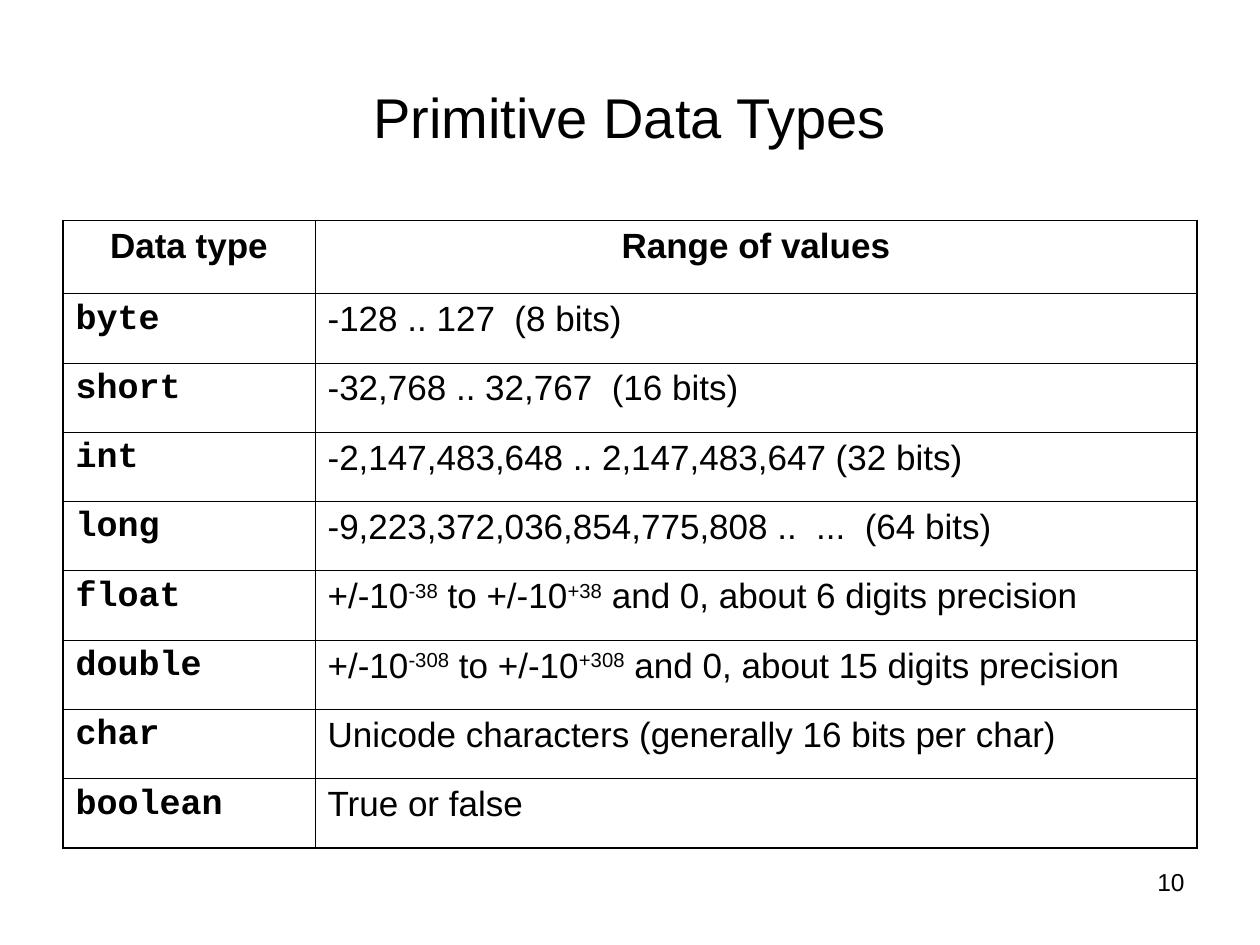
"""Build a slide that tabulates the primitive data types and their ranges."""
from dataclasses import dataclass

from lxml import etree
from pptx import Presentation
from pptx.dml.color import RGBColor
from pptx.enum.text import MSO_ANCHOR, PP_ALIGN
from pptx.oxml.ns import qn
from pptx.util import Inches, Pt

CENTER, RIGHT, JUSTIFY = PP_ALIGN.CENTER, PP_ALIGN.RIGHT, PP_ALIGN.JUSTIFY
MIDDLE = MSO_ANCHOR.MIDDLE


@dataclass(frozen=True)
class Theme:
    ink: str = "000000"
    body_font: str = "Arial"
    code_font: str = "Courier New"
    title_size: int = 32
    table_size: int = 20
    number_size: int = 14
    outer_line: float = 1.08
    inner_line: float = 0.45


theme = Theme()


def format_paragraph(para, size, align, font=theme.body_font, bold=False):
    para.alignment = align
    for span in para.runs:
        span.font.size = Pt(size)
        span.font.name = font
        span.font.bold = bold
        span.font.color.rgb = RGBColor.from_string(theme.ink)


def add_border(cell, side, width):
    line = etree.SubElement(cell._tc.get_or_add_tcPr(), qn(f"a:ln{side}"), w=str(Pt(width)))
    fill = etree.SubElement(line, qn("a:solidFill"))
    etree.SubElement(fill, qn("a:srgbClr"), val=theme.ink)


rows = [
    ("Data type", "Range of values"),
    ("byte", "-128 .. 127  (8 bits)"),
    ("short", "-32,768 .. 32,767  (16 bits)"),
    ("int", "-2,147,483,648 .. 2,147,483,647 (32 bits)"),
    ("long", "-9,223,372,036,854,775,808 ..  ...  (64 bits)"),
    ("float", "+/-10^-38^ to +/-10^+38^ and 0, about 6 digits precision"),
    ("double", "+/-10^-308^ to +/-10^+308^ and 0, about 15 digits precision"),
    ("char", "Unicode characters (generally 16 bits per char)"),
    ("boolean", "True or false"),
]
column_widths = [2, 7]
header_height, row_height = 0.58, 0.55

deck = Presentation()
deck.slide_width, deck.slide_height = Inches(10), Inches(7.5)
page = deck.slides.add_slide(deck.slide_layouts[5])

title = page.shapes.title
title.left, title.top = Inches(0.5), Inches(0.3)
title.width, title.height = Inches(9), Inches(1.25)
title.text_frame.text = "Primitive Data Types"
title.text_frame.vertical_anchor = MIDDLE
format_paragraph(title.text_frame.paragraphs[0], theme.title_size, CENTER)

table = page.shapes.add_table(
    len(rows), len(column_widths), Inches(0.5), Inches(1.75),
    Inches(sum(column_widths)), Inches(header_height + row_height * (len(rows) - 1)),
).table
table.first_row = table.horz_banding = False
for column, width in zip(table.columns, column_widths):
    column.width = Inches(width)

last_row, last_column = len(rows) - 1, len(column_widths) - 1
for row_index, texts in enumerate(rows):
    is_header = row_index == 0
    table.rows[row_index].height = Inches(header_height if is_header else row_height)
    for column_index, text in enumerate(texts):
        cell = table.cell(row_index, column_index)
        para = cell.text_frame.paragraphs[0]
        para.space_before = Pt(5)
        for part_index, part in enumerate(text.split("^")):
            span = para.add_run()
            span.text = part
            if part_index % 2:
                span.font._element.set("baseline", "30000")
        is_code = column_index == 0 and not is_header
        format_paragraph(
            para, theme.table_size, CENTER if is_header else JUSTIFY,
            theme.code_font if is_code else theme.body_font, is_header or is_code,
        )
        outer_sides = {
            "L": column_index == 0,
            "R": column_index == last_column,
            "T": is_header,
            "B": row_index == last_row,
        }
        for side, is_outer in outer_sides.items():
            add_border(cell, side, theme.outer_line if is_outer else theme.inner_line)
        cell.fill.background()

number_box = page.shapes.add_textbox(Inches(7.17), Inches(6.83), Inches(2.33), Inches(0.52))
number_box.text_frame.word_wrap = True
number_box.text_frame.text = "10"
format_paragraph(number_box.text_frame.paragraphs[0], theme.number_size, RIGHT)

deck.save("out.pptx")
